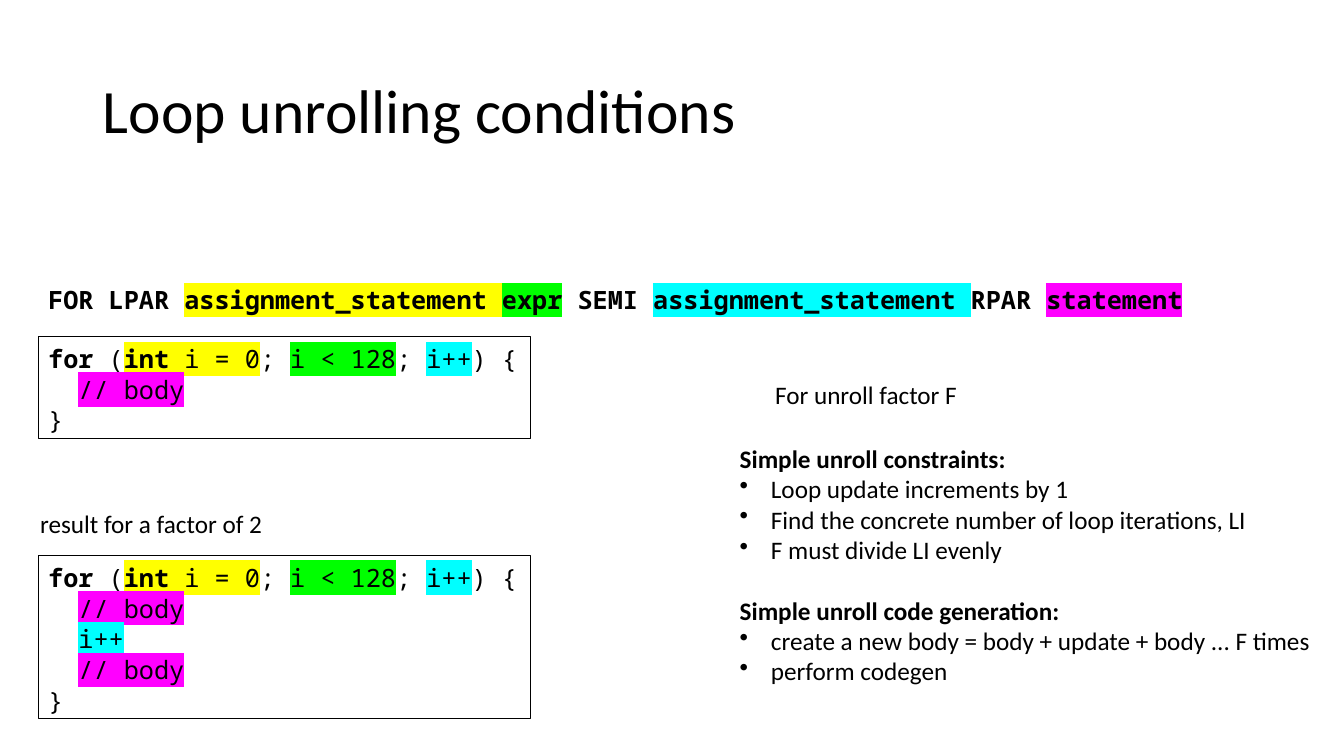
from dataclasses import dataclass

from lxml import etree
from pptx import Presentation
from pptx import util as u
from pptx.dml.color import RGBColor
from pptx.enum import shapes, text
from pptx.oxml import ns


@dataclass(frozen=True)
class Theme:
    """Colours, fonts and sizes of the slide."""
    ink: str = "000000"
    init: str = "FFFF00"
    condition: str = "00FF00"
    update: str = "00FFFF"
    body: str = "FF00FF"
    prose: str = "Calibri"
    mono: str = "Noto Sans Mono"
    title_size: int = 44
    text_size: int = 18
    line_pitch: int = 22
    code_indent: float = 0.3
    bullet_indent: float = 0.31
    outline: float = 0.75


@dataclass(frozen=True)
class Piece:
    """A stretch of code with its highlight and weight."""
    words: str
    highlight: str = ""
    bold: bool = False


class LessonSlide:
    """Places titles, prose, code and rules by percent of the slide's size."""

    def __init__(self, deck, theme):
        self.deck, self.theme = deck, theme
        self.slide = deck.slides.add_slide(deck.slide_layouts[5])

    def area(self, left, top, width, height):
        """Turn percentages into lengths."""
        wide, high = self.deck.slide_width / 100, self.deck.slide_height / 100
        return [u.Emu(round(share * side)) for share, side in
                zip((left, top, width, height), (wide, high, wide, high))]

    def style(self, paragraph, face, size, bold=None):
        """Set the font and alignment of a paragraph."""
        font = paragraph.font
        font.name, font.size, font.bold = face, u.Pt(size), bold
        font.color.rgb = RGBColor.from_string(self.theme.ink)
        paragraph.alignment = text.PP_ALIGN.LEFT

    def paragraphs(self, frame, count):
        """Yield the first paragraph of a frame, then new ones."""
        for index in range(count):
            yield frame.add_paragraph() if index else frame.paragraphs[0]

    def title(self, words, place):
        """Fill and place the title placeholder."""
        heading = self.slide.shapes.title
        heading.left, heading.top, heading.width, heading.height = self.area(*place)
        frame = heading.text_frame
        frame.text = words
        frame.auto_size = text.MSO_AUTO_SIZE.NONE
        frame.vertical_anchor = text.MSO_ANCHOR.MIDDLE
        frame.paragraphs[0].line_spacing = 0.9
        self.style(frame.paragraphs[0], self.theme.prose, self.theme.title_size)

    def label(self, words, place):
        """Add one line of prose."""
        frame = self.slide.shapes.add_textbox(*self.area(*place)).text_frame
        frame.word_wrap = False
        frame.text = words
        self.style(frame.paragraphs[0], self.theme.prose, self.theme.text_size)

    def write_code(self, frame, lines):
        """Write highlighted code, indenting all but the outer lines."""
        frame.margin_top, frame.margin_bottom = u.Inches(0.06), u.Inches(0.04)
        frame.vertical_anchor = text.MSO_ANCHOR.TOP
        for index, (paragraph, pieces) in enumerate(
                zip(self.paragraphs(frame, len(lines)), lines)):
            paragraph.line_spacing = u.Pt(self.theme.line_pitch)
            self.style(paragraph, self.theme.mono, self.theme.text_size)
            if 0 < index < len(lines) - 1:
                paragraph._p.get_or_add_pPr().set(
                    "marL", str(u.Inches(self.theme.code_indent)))
            for piece in pieces:
                run = paragraph.add_run()
                run.text, run.font.bold = piece.words, piece.bold
                if piece.highlight:
                    marker = etree.SubElement(run._r.get_or_add_rPr(), ns.qn("a:highlight"))
                    etree.SubElement(marker, ns.qn("a:srgbClr"), val=piece.highlight)

    def grammar(self, pieces, place):
        """Add a grammar rule without a frame."""
        frame = self.slide.shapes.add_textbox(*self.area(*place)).text_frame
        frame.word_wrap = True
        self.write_code(frame, [pieces])

    def code(self, lines, place):
        """Add an outlined code listing."""
        listing = self.slide.shapes.add_shape(
            shapes.MSO_SHAPE.RECTANGLE, *self.area(*place))
        listing.shadow.inherit = False
        listing.fill.background()
        listing.line.color.rgb = RGBColor.from_string(self.theme.ink)
        listing.line.width = u.Pt(self.theme.outline)
        listing.text_frame.word_wrap = False
        self.write_code(listing.text_frame, lines)

    def rules(self, sections, place):
        """Add bold headings, each followed by bullets."""
        frame = self.slide.shapes.add_textbox(*self.area(*place)).text_frame
        frame.word_wrap = False
        entries = [(words, words == heading) for heading, points in sections.items()
                   for words in (heading, *points)]
        for index, (paragraph, (words, is_heading)) in enumerate(
                zip(self.paragraphs(frame, len(entries)), entries)):
            paragraph.text = words
            self.style(paragraph, self.theme.prose, self.theme.text_size, is_heading)
            if is_heading:
                paragraph.space_before = u.Pt(self.theme.line_pitch if index else 0)
            else:
                self.bullet(paragraph)

    def bullet(self, paragraph):
        """Give a paragraph a hanging bullet."""
        indent = u.Inches(self.theme.bullet_indent)
        properties = paragraph._p.get_or_add_pPr()
        properties.set("marL", str(indent))
        properties.set("indent", str(-indent))
        mark = etree.Element(ns.qn("a:buChar"), char="•")
        properties.find(ns.qn("a:defRPr")).addprevious(mark)


def main():
    """Build the loop unrolling slide."""
    deck = Presentation()
    deck.slide_width, deck.slide_height = u.Inches(13.33), u.Inches(7.5)
    theme = Theme()
    lesson = LessonSlide(deck, theme)

    header = [Piece("for", bold=True), Piece(" ("),
              Piece("int", theme.init, True), Piece(" i = 0", theme.init),
              Piece("; "), Piece("i < 128", theme.condition),
              Piece("; "), Piece("i++", theme.update), Piece(") {")]
    body = [Piece("// body", theme.body)]
    update = [Piece("i++", theme.update)]
    closing = [Piece("}")]
    for_rule = [Piece(words, highlight, True) for words, highlight in (
        ("FOR LPAR ", ""), ("assignment_statement ", theme.init),
        ("expr", theme.condition), (" SEMI ", ""),
        ("assignment_statement ", theme.update), ("RPAR ", ""),
        ("statement", theme.body))]

    lesson.title("Loop unrolling conditions", (6.9, 5.33, 86.25, 19.33))
    lesson.label("For unroll factor F", (56.93, 49.47, 15.23, 5.33))
    lesson.grammar(for_rule, (2.85, 36.8, 86.85, 5.33))
    lesson.code([header, body, closing], (2.85, 44.53, 36.6, 13.47))
    lesson.code([header, body, update, body, closing], (2.85, 73.47, 36.6, 21.6))
    lesson.label("result for a factor of 2", (2.25, 66.53, 18.23, 5.33))
    lesson.rules({
        "Simple unroll constraints:": (
            "Loop update increments by 1",
            "Find the concrete number of loop iterations, LI",
            "F must divide LI evenly"),
        "Simple unroll code generation:": (
            "create a new body = body + update + body ... F times",
            "perform codegen"),
    }, (54.3, 58, 44.48, 33.6))
    deck.save("out.pptx")


if __name__ == "__main__":
    main()
